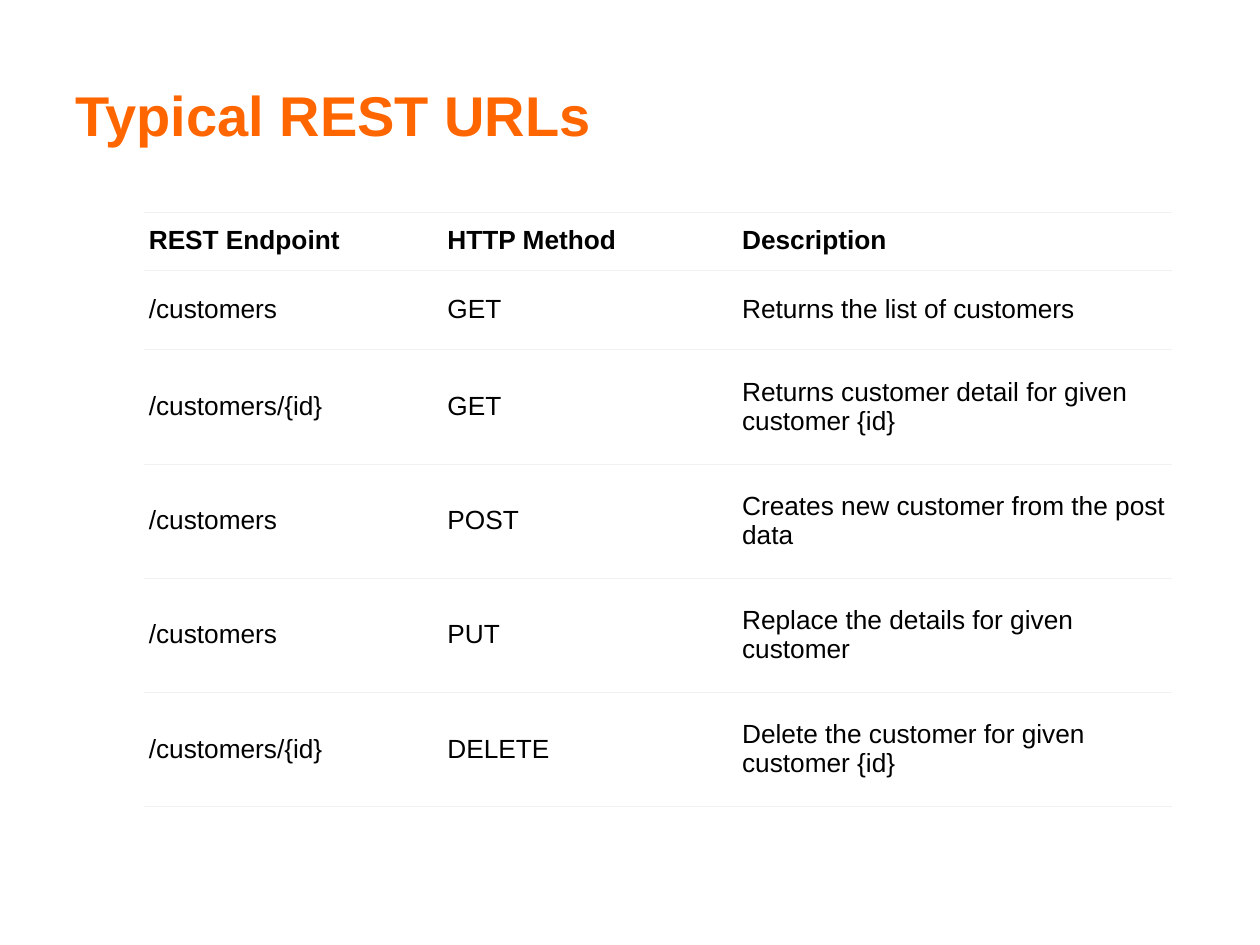
from lxml.etree import SubElement
from pptx import Presentation
from pptx.dml.color import RGBColor
from pptx.enum.text import MSO_ANCHOR
from pptx.oxml.ns import qn
from pptx.util import Cm, Pt

# Content
TITLE = "Typical REST URLs"
HEAD = ("REST Endpoint", "HTTP Method", "Description")
CALLS = [
    ("/customers", "GET", "Returns the list of customers"),
    ("/customers/{id}", "GET", "Returns customer detail for given customer {id}"),
    ("/customers", "POST", "Creates new customer from the post data"),
    ("/customers", "PUT", "Replace the details for given customer"),
    ("/customers/{id}", "DELETE", "Delete the customer for given customer {id}"),
]

# Theme and layout (lengths in cm)
THEME = {
    "font": "Arial", "title": "FF6600", "text": "000000",
    "fill": "FFFFFF", "rule": "F1F1F1",
    "title_size": 32, "cell_size": 15, "rule_width": 0.34,
}
LEFT, TOP = 2.9, 4.27
WIDTHS = (6.02, 5.94, 8.76)
HEIGHTS = (1.17, 1.61) + (2.3,) * 4


def write(frame, text, size, color, bold):
    run = frame.paragraphs[0].add_run()
    run.text = text
    font = run.font
    font.name, font.size, font.bold = THEME["font"], Pt(size), bold
    font.color.rgb = RGBColor.from_string(color)


def rule(cell):
    """Draw hairlines above and below, none at the sides."""
    props = cell._tc.get_or_add_tcPr()
    for side in "LRTB":
        line = SubElement(props, qn(f"a:ln{side}"), w=str(Pt(THEME["rule_width"])))
        if side in "LR":
            SubElement(line, qn("a:noFill"))
        else:
            fill = SubElement(line, qn("a:solidFill"))
            SubElement(fill, qn("a:srgbClr"), val=THEME["rule"])


deck = Presentation()
deck.slide_width, deck.slide_height = Cm(25.4), Cm(19.05)
slide = deck.slides.add_slide(deck.slide_layouts[6])

# Title
frame = slide.shapes.add_textbox(Cm(1.27), Cm(0.56), Cm(22.66), Cm(2.54)).text_frame
frame.word_wrap = True
frame.vertical_anchor = MSO_ANCHOR.BOTTOM
write(frame, TITLE, THEME["title_size"], THEME["title"], True)

# Table grid
rows = [HEAD] + CALLS
table = slide.shapes.add_table(
    len(rows), len(HEAD), Cm(LEFT), Cm(TOP), Cm(sum(WIDTHS)), Cm(sum(HEIGHTS))
).table
table.horz_banding = False
for col, width in zip(table.columns, WIDTHS):
    col.width = Cm(width)
for row, height in zip(table.rows, HEIGHTS):
    row.height = Cm(height)

# Table cells
for r, texts in enumerate(rows):
    for c, text in enumerate(texts):
        cell = table.cell(r, c)
        cell.margin_left = cell.margin_right = Cm(0.1)
        cell.margin_top = cell.margin_bottom = Cm(0.13)
        cell.vertical_anchor = MSO_ANCHOR.MIDDLE
        rule(cell)
        cell.fill.solid()
        cell.fill.fore_color.rgb = RGBColor.from_string(THEME["fill"])
        write(cell.text_frame, text, THEME["cell_size"], THEME["text"], r == 0)

deck.save("out.pptx")
